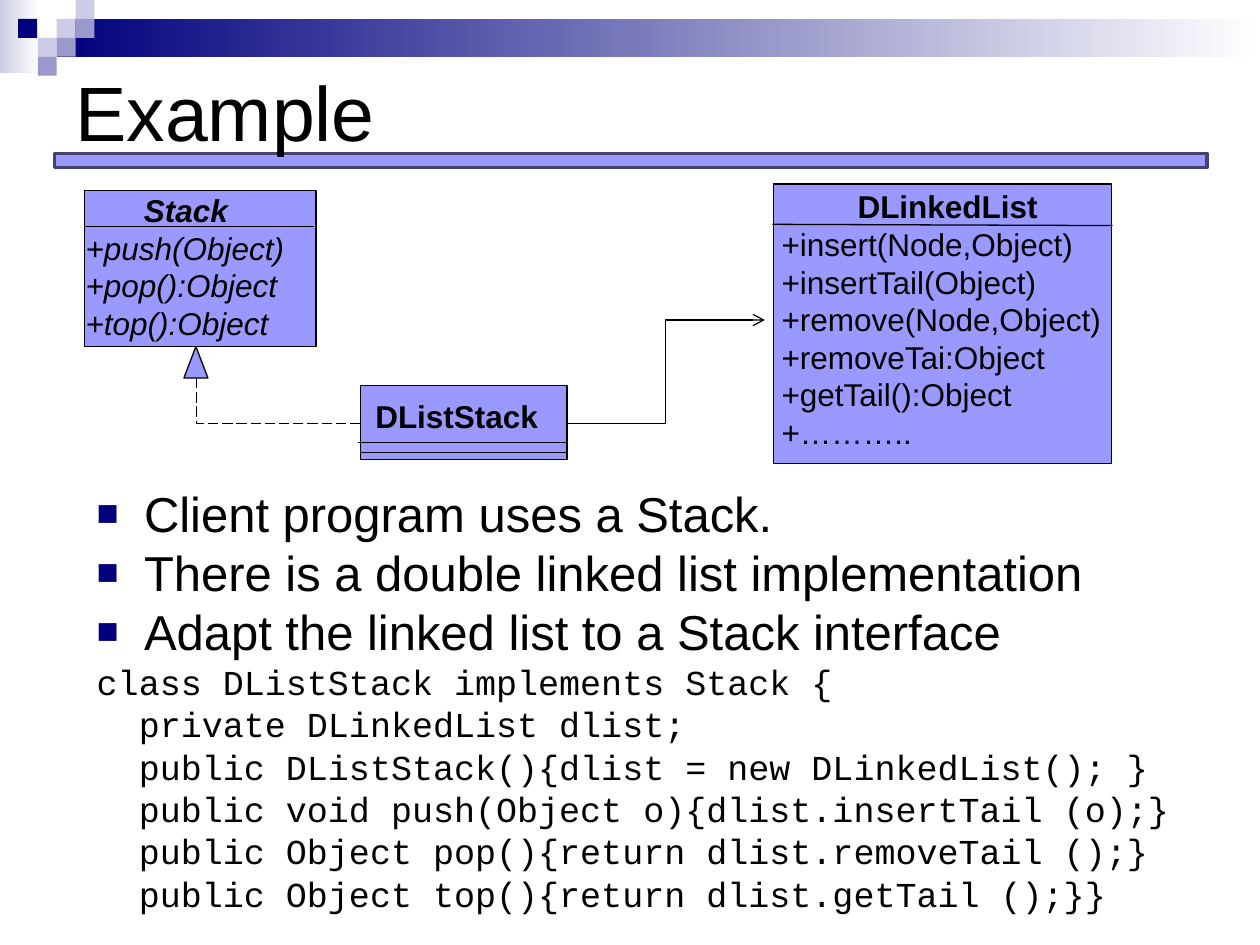
from lxml.etree import SubElement
from pptx import Presentation
from pptx.dml.color import RGBColor
from pptx.enum.dml import MSO_LINE
from pptx.enum.shapes import MSO_CONNECTOR, MSO_SHAPE
from pptx.enum.text import MSO_ANCHOR, PP_ALIGN
from pptx.oxml.ns import qn
from pptx.util import Pt

BLACK = RGBColor(0, 0, 0)
WHITE = RGBColor(255, 255, 255)
NAVY = RGBColor(0x00, 0x00, 0x7D)
PALE = RGBColor(0xCC, 0xCC, 0xE6)
MID = RGBColor(0x99, 0x99, 0xCC)
LILAC = RGBColor(0x99, 0x99, 0xFF)
SLATE = RGBColor(0x43, 0x43, 0x70)

deck = Presentation()
deck.slide_width, deck.slide_height = Pt(720), Pt(540)
slide = deck.slides.add_slide(deck.slide_layouts[6])
shapes = slide.shapes


def block(box, fill, edge=None, width=0.75, kind=MSO_SHAPE.RECTANGLE):
    """Add a preset shape; a pair of fill colours makes a gradient."""
    shape = shapes.add_shape(kind, *map(Pt, box))
    shape.shadow.inherit = False
    if isinstance(fill, list):
        shape.fill.gradient()
        shape.fill.gradient_angle = 0
        for stop, tone in zip(shape.fill.gradient_stops, fill):
            stop.color.rgb = tone
    else:
        shape.fill.solid()
        shape.fill.fore_color.rgb = fill
    if edge is None:
        shape.line.fill.background()
    else:
        shape.line.color.rgb = edge
        shape.line.width = Pt(width)


def write(box, rows, anchor=MSO_ANCHOR.TOP):
    """Add a text box; each row is (text, font values, paragraph values)."""
    frame = shapes.add_textbox(*map(Pt, box)).text_frame
    frame.word_wrap = True
    frame.vertical_anchor = anchor
    for num, (text, font, form) in enumerate(rows):
        para = frame.add_paragraph() if num else frame.paragraphs[0]
        para.text = text
        for key, value in form.items():
            if key != "space_before" or num:
                setattr(para, key, value)
        for key, value in font.items():
            setattr(para.font, key, value)
        para.font.color.rgb = BLACK
    return frame


# Banner and corner squares
block((0, 0, 22.3, 42), [PALE, WHITE])
block((32.4, 10.8, 687.6, 21.6), [NAVY, WHITE])
for left, top, tone in [
    (32.4, 10.8, PALE), (43.2, 0, PALE), (43.2, 10.8, MID), (21.6, 21.6, PALE),
    (10.4, 10.8, NAVY), (32.4, 21.6, MID), (21.6, 32.4, MID),
]:
    block((left, top, 10.8, 10.8), tone)

# Title and rule
block((31, 87.8, 658.8, 7.9), LILAC, SLATE, 2)
write((36, 9.5, 648, 108), [("Example", {"name": "Arial", "size": Pt(44)}, {})],
      MSO_ANCHOR.MIDDLE)

# Bullets and code
bullet = {"name": "Arial", "size": Pt(28)}
code = {"name": "Courier New", "size": Pt(20)}
points = [
    "Client program uses a Stack.",
    "There is a double linked list implementation",
    "Adapt the linked list to a Stack interface",
]
source = [
    "class DListStack implements Stack {",
    "  private DLinkedList dlist;",
    "  public DListStack(){dlist = new DLinkedList(); }",
    "  public void push(Object o){dlist.insertTail (o);}",
    "  public Object pop(){return dlist.removeTail ();}",
    "  public Object top(){return dlist.getTail ();}}",
]
rows = [(text, bullet, {"line_spacing": 0.8, "space_before": Pt(6.8)}) for text in points]
rows += [(text, code, {"line_spacing": 0.8, "space_before": Pt(5)}) for text in source]
body = write((48.2, 279.2, 651.6, 247), rows)
for para in body.paragraphs[:len(points)]:
    props = para._p.get_or_add_pPr()
    props.set("marL", str(Pt(27)))
    props.set("indent", str(-Pt(27)))
    spot = props.find(qn("a:defRPr"))
    tone = SubElement(props, qn("a:buClr"))
    SubElement(tone, qn("a:srgbClr"), val=str(NAVY))
    marks = [tone, SubElement(props, qn("a:buSzPct"), val="75000"),
             SubElement(props, qn("a:buFont"), typeface="Arial"),
             SubElement(props, qn("a:buChar"), char="■")]
    if spot is not None:
        for mark in marks:
            spot.addprevious(mark)

# Class boxes: frame, text area, italic, name place, name, members
classes = [
    ((48.2, 108.7, 132.5, 89.3), (41.8, 105.8, 128.9, 93.6), True, PP_ALIGN.CENTER,
     "Stack", ["+push(Object)", "+pop():Object", "+top():Object"]),
    ((442.1, 105.1, 193, 159.8), (439.5, 103.7, 204, 158.4), False, PP_ALIGN.CENTER,
     "DLinkedList", ["+insert(Node,Object)", "+insertTail(Object)",
                     "+remove(Node,Object)", "+removeTai:Object",
                     "+getTail():Object", "+……….."]),
    ((205.9, 220.3, 118.1, 42.5), (207.4, 223.2, 114, 28.8), False, PP_ALIGN.LEFT,
     "DListStack", []),
]
for box, area, slant, place, name, members in classes:
    block(box, LILAC, BLACK)
    font = {"name": "Arial", "size": Pt(18), "italic": slant}
    form = {"line_spacing": Pt(21.5)}
    rows = [(name, {**font, "bold": True}, {**form, "alignment": place})]
    rows += [(text, font, form) for text in members]
    write(area, rows)
block((105.1, 198, 13.7, 18), LILAC, BLACK, kind=MSO_SHAPE.ISOSCELES_TRIANGLE)

# Dividers and relations
straight, elbow = MSO_CONNECTOR.STRAIGHT, MSO_CONNECTOR.ELBOW
links = []
for kind, *ends in [
    (straight, 48.2, 129.6, 179.3, 129.6),
    (straight, 441.4, 128.2, 635.8, 128.9),
    (straight, 204.5, 252.7, 323.3, 252.7),
    (straight, 205.9, 258.5, 324.7, 258.5),
    (elbow, 205.9, 241.9, 112.3, 216),
    (elbow, 323.3, 241.9, 437, 182.9),
]:
    link = shapes.add_connector(kind, *map(Pt, ends))
    link.line.color.rgb = BLACK
    link.line.width = Pt(0.75)
    links.append(link)
links[-2].line.dash_style = MSO_LINE.LONG_DASH
links[-2]._element.spPr.find(qn("a:prstGeom")).set("prst", "bentConnector2")
SubElement(links[-1].line._get_or_add_ln(), qn("a:tailEnd"), type="arrow")
for link in links:
    SubElement(link._element.spPr, qn("a:effectLst"))

deck.save("out.pptx")
